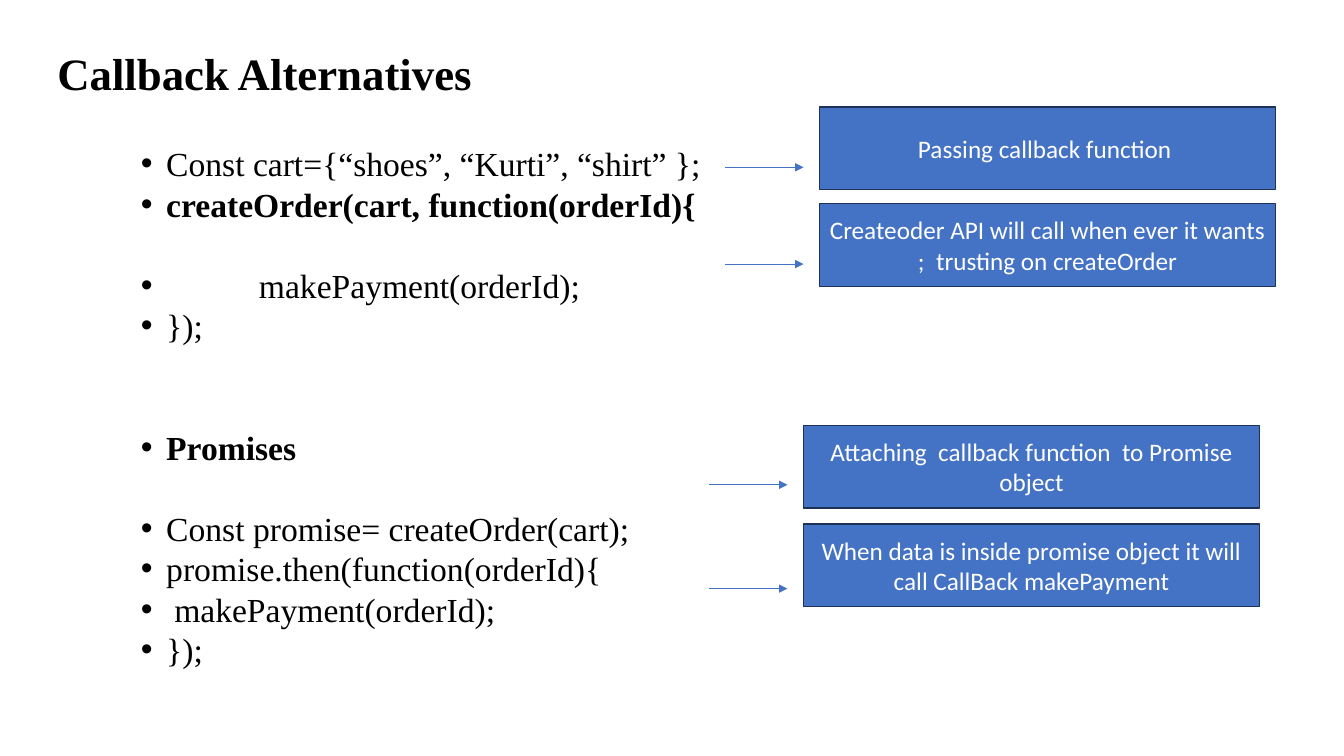
"""Build the Callback Alternatives slide."""
from lxml.etree import SubElement
from pptx import Presentation
from pptx.dml.color import RGBColor
from pptx.enum.shapes import MSO_CONNECTOR, MSO_SHAPE
from pptx.enum.text import MSO_ANCHOR, PP_ALIGN
from pptx.oxml.ns import qn
from pptx.util import Inches, Pt

COLORS = {"text": "000000", "box": "4472C4", "edge": "1E3256", "label": "FFFFFF"}
SERIF, SANS = "Times New Roman", "Calibri"
TITLE = "Callback Alternatives"
PITCH = 28.9

# text, bold, extra text indent (inches), blank lines after
CODE = [
    ("Const cart={“shoes”, “Kurti”, “shirt” };", False, 0, 0),
    ("createOrder(cart, function(orderId){", True, 0, 1),
    ("makePayment(orderId);", False, 0.92, 0),
    ("});", False, 0, 2),
    ("Promises", True, 0, 1),
    ("Const promise= createOrder(cart);", False, 0, 0),
    ("promise.then(function(orderId){", False, 0, 0),
    ("makePayment(orderId);", False, 0.08, 0),
    ("});", False, 0, 0),
]

# text, box left, box top, arrow height on the slide
NOTES = [
    ("Passing callback function ", 8.13, 1.06, 1.66),
    ("Createoder API will call when ever it wants ;  trusting on createOrder", 8.13, 2.02, 2.62),
    ("Attaching  callback function  to Promise object", 7.97, 4.22, 4.81),
    ("When data is inside promise object it will call CallBack makePayment", 7.97, 5.2, 5.84),
]
BOX_W, BOX_H = 4.52, 0.82
ARROW_W, ARROW_GAP = 0.78, 0.16


def rgb(name):
    return RGBColor.from_string(COLORS[name])


def write(p, text, size=24, font=SERIF, color="text", bold=False, align=PP_ALIGN.LEFT, spacing=None):
    p.alignment = align
    if spacing:
        p.line_spacing = spacing
    r = p.add_run()
    r.text = text
    r.font.size, r.font.name, r.font.bold = Pt(size), font, bold
    r.font.color.rgb = rgb(color)


def add_bullet(p, indent):
    pPr = p._p.get_or_add_pPr()
    pPr.set("marL", str(Inches(0.75 + indent)))
    pPr.set("indent", str(-Inches(0.25 + indent)))
    SubElement(pPr, qn("a:buFont"), typeface="Arial")
    SubElement(pPr, qn("a:buChar"), char="•")


def add_text_box(s, left, top, width, height, anchor):
    tf = s.shapes.add_textbox(Inches(left), Inches(top), Inches(width), Inches(height)).text_frame
    tf.word_wrap = True
    tf.vertical_anchor = anchor
    return tf


def add_code(s):
    tf = add_text_box(s, 0.8, 1.37, 6.39, 4.76, MSO_ANCHOR.TOP)
    for i, (text, bold, indent, blanks) in enumerate(CODE):
        p = tf.add_paragraph() if i else tf.paragraphs[0]
        write(p, text, bold=bold, spacing=Pt(PITCH))
        p.space_after = Pt(PITCH * blanks)
        add_bullet(p, indent)


def add_arrow(s, left, y):
    cx = s.shapes.add_connector(MSO_CONNECTOR.STRAIGHT, Inches(left), Inches(y),
                                Inches(left + ARROW_W), Inches(y))
    cx.line.color.rgb = rgb("box")
    cx.line.width = Pt(0.5)
    SubElement(cx.line._get_or_add_ln(), qn("a:tailEnd"), type="triangle")
    SubElement(cx._element.spPr, qn("a:effectLst"))


def add_note(s, text, left, top):
    sp = s.shapes.add_shape(MSO_SHAPE.RECTANGLE, Inches(left), Inches(top), Inches(BOX_W), Inches(BOX_H))
    sp.shadow.inherit = False
    sp.fill.solid()
    sp.fill.fore_color.rgb = rgb("box")
    sp.line.color.rgb = rgb("edge")
    sp.line.width = Pt(1)
    tf = sp.text_frame
    tf.word_wrap = True
    tf.vertical_anchor = MSO_ANCHOR.MIDDLE
    write(tf.paragraphs[0], text, size=18, font=SANS, color="label", align=PP_ALIGN.CENTER)


def main():
    prs = Presentation()
    prs.slide_width, prs.slide_height = Inches(13.33), Inches(7.5)
    s = prs.slides.add_slide(prs.slide_layouts[6])
    tf = add_text_box(s, 0.47, 0.27, 11.5, 0.96, MSO_ANCHOR.MIDDLE)
    write(tf.paragraphs[0], TITLE, size=32, bold=True, spacing=0.9)
    add_code(s)
    for text, left, top, arrow_y in NOTES:
        add_arrow(s, left - ARROW_GAP - ARROW_W, arrow_y)
        add_note(s, text, left, top)
    prs.save("out.pptx")


if __name__ == "__main__":
    main()
